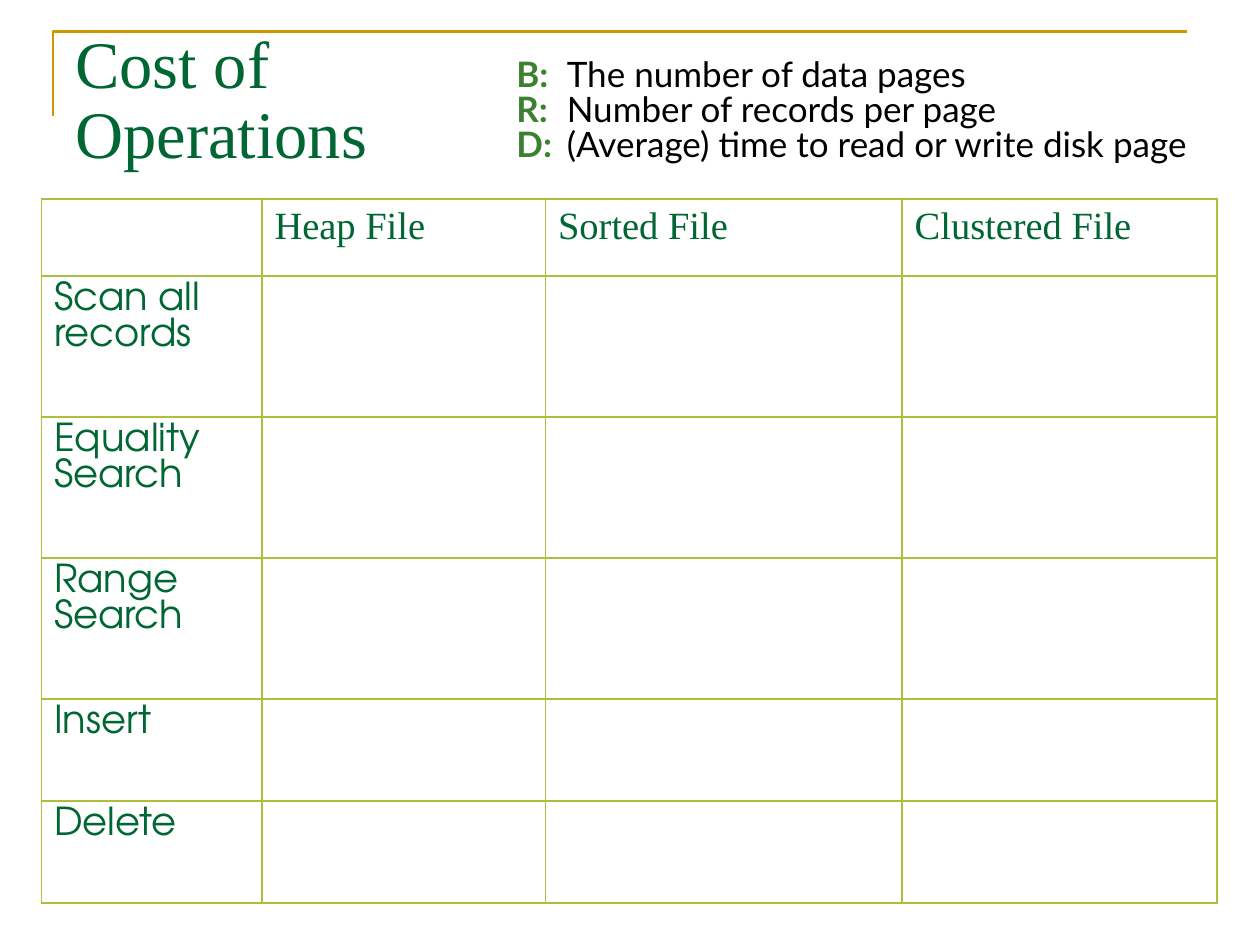
from lxml.etree import SubElement
from pptx import Presentation
from pptx.dml.color import RGBColor
from pptx.enum.text import MSO_ANCHOR
from pptx.oxml.ns import qn
from pptx.util import Inches, Pt

TITLE = "Cost of Operations"
LEGEND = [
    ("B:", "The number of data pages"),
    ("R:", "Number of records per page"),
    ("D:", "(Average) time to read or write disk page"),
]
FILE_TYPES = ["Heap File", "Sorted File", "Clustered File"]
OPERATIONS = ["Scan all records", "Equality Search", "Range Search", "Insert", "Delete"]
COLUMN_WIDTHS = [1.75, 2.25, 2.83, 2.5]
ROW_HEIGHTS = [0.61, 1.12, 1.12, 1.12, 0.81, 0.81]

GREEN, LEGEND_GREEN, GOLD, OLIVE = "006633", "3B812F", "CC9900", "AFBF39"
SERIF, SANS, ROUND = "Times New Roman", "Lato", "TeX Gyre Adventor"


def color(value):
    return RGBColor.from_string(value)


def add_text(paragraph, text, *, size, font, fill=GREEN, bold=False):
    run = paragraph.add_run()
    run.text = text
    run.font.size = Pt(size)
    run.font.name = font
    run.font.bold = bold
    run.font.color.rgb = color(fill)


def add_frame(slide, left, top, width, height):
    frame = slide.shapes.add_textbox(*map(Inches, (left, top, width, height))).text_frame
    frame.word_wrap = True
    return frame


def add_corner(slide):
    builder = slide.shapes.build_freeform(Inches(0.42), Inches(0.92))
    builder.add_line_segments(
        [(Inches(0.42), Inches(0.25)), (Inches(9.42), Inches(0.25))], close=False
    )
    corner = builder.convert_to_shape()
    corner.shadow.inherit = False
    corner.fill.background()
    corner.line.color.rgb = color(GOLD)
    corner.line.width = Pt(1.5)


def add_title(slide):
    frame = add_frame(slide, 0.5, 0.27, 3.27, 1.08)
    frame.vertical_anchor = MSO_ANCHOR.MIDDLE
    heading = frame.paragraphs[0]
    heading.line_spacing = Pt(40)
    add_text(heading, TITLE, size=38, font=SERIF)


def add_legend(slide):
    frame = add_frame(slide, 4, 0.56, 5.88, 0.8)
    for index, (symbol, meaning) in enumerate(LEGEND):
        entry = frame.add_paragraph() if index else frame.paragraphs[0]
        entry.line_spacing = Pt(10)
        if index:
            entry.space_before = Pt(10)
        tabs = SubElement(entry._p.get_or_add_pPr(), qn("a:tabLst"))
        SubElement(tabs, qn("a:tab"), pos=str(Inches(0.4)), algn="l")
        add_text(entry, symbol + "\t", size=20, font=SANS, fill=LEGEND_GREEN, bold=True)
        add_text(entry, meaning, size=20, font=SANS, fill="000000")


def style_cell(cell):
    properties = cell._tc.get_or_add_tcPr()
    for side in ("lnL", "lnR", "lnT", "lnB"):
        border = SubElement(properties, qn(f"a:{side}"), w=str(Pt(1.08)))
        SubElement(SubElement(border, qn("a:solidFill")), qn("a:srgbClr"), val=OLIVE)
    cell.fill.solid()
    cell.fill.fore_color.rgb = color("FFFFFF")


def add_cost_table(slide):
    costs = slide.shapes.add_table(
        len(ROW_HEIGHTS), len(COLUMN_WIDTHS), Inches(0.33), Inches(1.58),
        Inches(sum(COLUMN_WIDTHS)), Inches(sum(ROW_HEIGHTS)),
    ).table
    costs.first_row = costs.horz_banding = False
    for column, width in zip(costs.columns, COLUMN_WIDTHS):
        column.width = Inches(width)
    for row, height in zip(costs.rows, ROW_HEIGHTS):
        row.height = Inches(height)
    for cell in costs.iter_cells():
        style_cell(cell)
    for column, file_type in enumerate(FILE_TYPES, 1):
        add_text(costs.cell(0, column).text_frame.paragraphs[0], file_type, size=22, font=SERIF)
    for row, operation in enumerate(OPERATIONS, 1):
        add_text(costs.cell(row, 0).text_frame.paragraphs[0], operation, size=22, font=ROUND)


def main():
    deck = Presentation()
    deck.slide_width, deck.slide_height = Inches(10), Inches(7.5)
    slide = deck.slides.add_slide(deck.slide_layouts[6])
    add_corner(slide)
    add_title(slide)
    add_legend(slide)
    add_cost_table(slide)
    deck.save("out.pptx")


if __name__ == "__main__":
    main()
